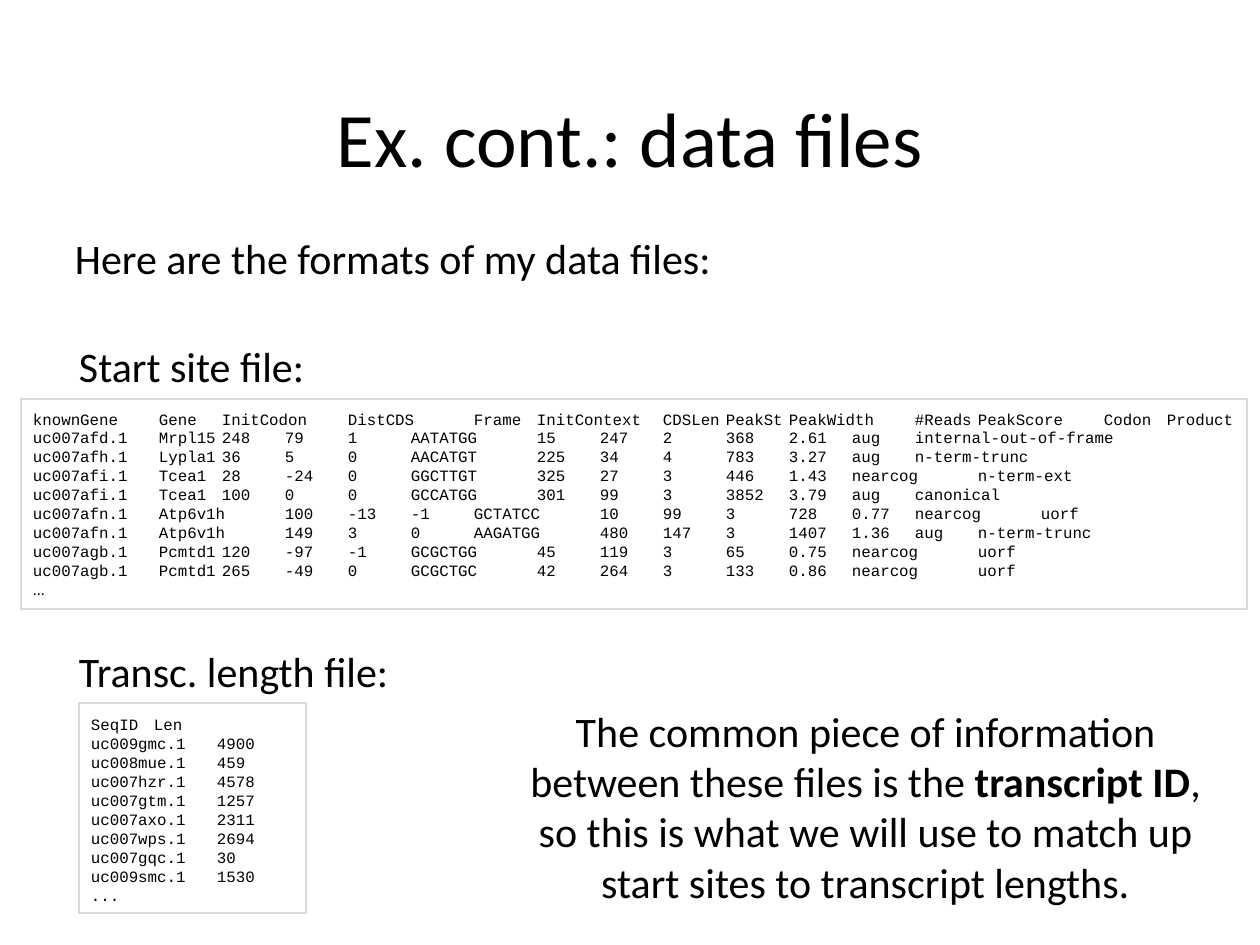
"""Build the slide that shows the formats of two data files."""
from dataclasses import dataclass

from lxml.etree import SubElement
from pptx import Presentation
from pptx.dml.color import RGBColor
from pptx.enum.shapes import MSO_SHAPE
from pptx.enum.text import MSO_ANCHOR as ANCHOR, MSO_AUTO_SIZE as FIT, PP_ALIGN as ALIGN
from pptx.oxml.ns import qn
from pptx.util import Emu, Pt


@dataclass(frozen=True)
class Theme:
    """Hold the colours, fonts and type sizes."""
    ink: RGBColor = RGBColor(0x00, 0x00, 0x00)
    frame: RGBColor = RGBColor(0xD9, 0xD9, 0xD9)
    sans: str = "Calibri"
    mono: str = "Courier New"
    title: int = 44
    body: int = 24
    code: int = 9
    frame_width: float = 0.75


THEME = Theme()
PX_PER_INCH = 126
INSET = 12
TAB = 63
MORE = "..."

START_SITES = """\
knownGene Gene InitCodon DistCDS Frame InitContext CDSLen PeakSt PeakWidth #Reads PeakScore Codon Product
uc007afd.1 Mrpl15 248 79 1 AATATGG 15 247 2 368 2.61 aug internal-out-of-frame
uc007afh.1 Lypla1 36 5 0 AACATGT 225 34 4 783 3.27 aug n-term-trunc
uc007afi.1 Tcea1 28 -24 0 GGCTTGT 325 27 3 446 1.43 nearcog n-term-ext
uc007afi.1 Tcea1 100 0 0 GCCATGG 301 99 3 3852 3.79 aug canonical
uc007afn.1 Atp6v1h 100 -13 -1 GCTATCC 10 99 3 728 0.77 nearcog uorf
uc007afn.1 Atp6v1h 149 3 0 AAGATGG 480 147 3 1407 1.36 aug n-term-trunc
uc007agb.1 Pcmtd1 120 -97 -1 GCGCTGG 45 119 3 65 0.75 nearcog uorf
uc007agb.1 Pcmtd1 265 -49 0 GCGCTGC 42 264 3 133 0.86 nearcog uorf"""

LENGTHS = """\
SeqID Len
uc009gmc.1 4900
uc008mue.1 459
uc007hzr.1 4578
uc007gtm.1 1257
uc007axo.1 2311
uc007wps.1 2694
uc007gqc.1 30
uc009smc.1 1530"""


def px(n):
    """Turn pixels into EMU."""
    return Emu(round(n * 914400 / PX_PER_INCH))


def add_run(p, text, size=THEME.body, font=THEME.sans, bold=False):
    """Add formatted text to a paragraph."""
    r = p.add_run()
    r.text = text
    r.font.size, r.font.name, r.font.bold = Pt(size), font, bold
    r.font.color.rgb = THEME.ink


def set_frame(tf, anchor=ANCHOR.TOP, wrap=True, inset_y=INSET):
    """Set the insets, anchor and wrapping of a text frame."""
    tf.margin_left = tf.margin_right = px(INSET)
    tf.margin_top = tf.margin_bottom = px(inset_y)
    tf.vertical_anchor, tf.word_wrap = anchor, wrap
    tf.auto_size = FIT.NONE if wrap else FIT.SHAPE_TO_FIT_TEXT


def add_text(s, box, *runs, align=ALIGN.LEFT, frame=None, **fmt):
    """Add a text box with one paragraph of (text, bold) runs."""
    tf = s.shapes.add_textbox(*map(px, box)).text_frame
    set_frame(tf, **(frame or {}))
    p = tf.paragraphs[0]
    p.alignment = align
    for text, bold in runs:
        add_run(p, text, bold=bold, **fmt)


def set_tabs(p, count):
    """Give a paragraph evenly spaced tab stops."""
    tabs = SubElement(p._p.get_or_add_pPr(), qn("a:tabLst"))
    for i in range(1, count + 1):
        SubElement(tabs, qn("a:tab"), pos=str(px(i * TAB)), algn="l")


def add_file(s, box, rows, anchor=ANCHOR.TOP, more_font=THEME.mono):
    """Add a framed listing of tab-separated rows."""
    sp = s.shapes.add_shape(MSO_SHAPE.RECTANGLE, *map(px, box))
    sp.shadow.inherit = False
    sp.fill.background()
    sp.line.color.rgb, sp.line.width = THEME.frame, Pt(THEME.frame_width)
    tf = sp.text_frame
    set_frame(tf, anchor)
    lines = [("\t".join(row.split()), THEME.mono) for row in rows.splitlines()]
    for i, (line, font) in enumerate(lines + [(MORE, more_font)]):
        p = tf.add_paragraph() if i else tf.paragraphs[0]
        p.alignment = ALIGN.LEFT
        set_tabs(p, box[2] // TAB)
        add_run(p, line, size=THEME.code, font=font)


def main():
    """Build and save the slide."""
    prs = Presentation()
    prs.slide_width, prs.slide_height = px(1260), px(945)
    s = prs.slides.add_slide(prs.slide_layouts[6])

    add_text(s, (63, 38, 1134, 157), ("Ex. cont.: data files", False),
             size=THEME.title, align=ALIGN.CENTER, frame={"anchor": ANCHOR.BOTTOM})
    add_text(s, (63, 221, 1134, 123), ("Here are the formats of my data files:", False))
    add_file(s, (21, 399, 1226, 210), START_SITES, ANCHOR.MIDDLE, THEME.sans)
    add_file(s, (79, 703, 227, 210), LENGTHS)
    add_text(s, (514, 693, 703, 221),
             ("The common piece of information between these files is the ", False),
             ("transcript ID", True),
             (", so this is what we will use to match up start sites to transcript lengths.", False),
             align=ALIGN.CENTER)
    label = {"wrap": False, "inset_y": 6}
    add_text(s, (67, 335, 253, 63), ("Start site file:", False), frame=label)
    add_text(s, (67, 640, 338, 63), ("Transc. length file:", False), frame=label)

    prs.save("out.pptx")


main()
